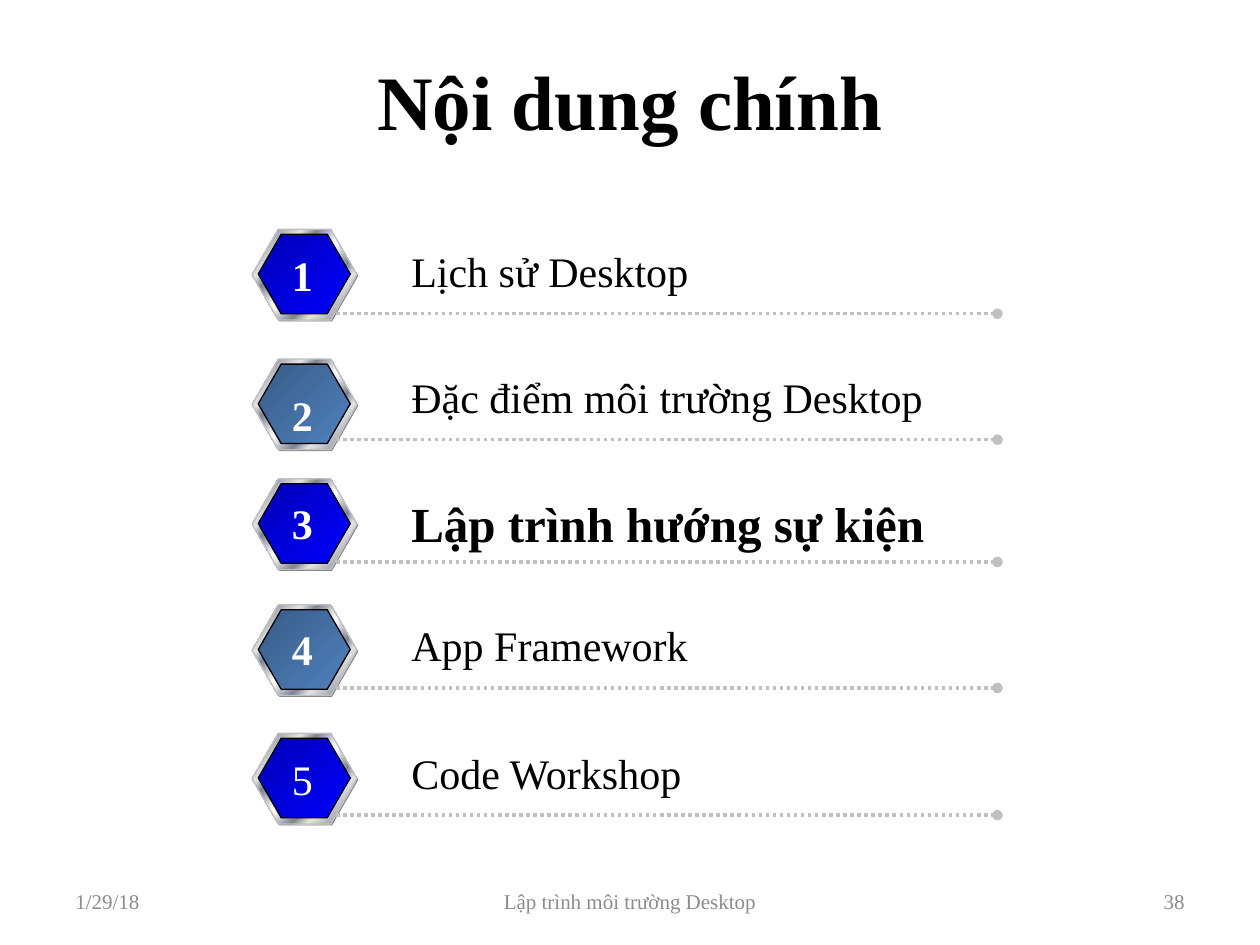
"""Builds the course outline slide with five numbered hexagon rows."""
import pptx
import pptx.util
import pptx.oxml
import pptx.oxml.ns
import pptx.dml.color
import pptx.enum.dml
import pptx.enum.shapes
import pptx.enum.text

RGB = pptx.dml.color.RGBColor.from_string
ALIGN = pptx.enum.text.PP_ALIGN
ANCHOR = pptx.enum.text.MSO_ANCHOR
SHAPE = pptx.enum.shapes.MSO_SHAPE
qn = pptx.oxml.ns.qn
NS = pptx.oxml.ns.nsdecls("a")

THEME = {
    "font": "Times New Roman",
    "ink": "000000", "white": "FFFFFF", "muted": "8C8C8C",
    "rule": "C0C0C0", "shade": "808080",
    "title": 44, "strong": 28, "text": 24, "footer": 12,
    "blue": [(0, "0000B6"), (100, "0000FF")],
    "steel": [(0, "395C87"), (100, "4F81BD")],
    "metal": [(0, "E6E6E6"), (7, "7D8496"), (26, "E6E6E6"), (34, "7D8496"),
              (46, "E6E6E6"), (50, "FFFFFF"), (54, "E6E6E6"), (66, "7D8496"),
              (74, "E6E6E6"), (93, "7D8496"), (100, "E6E6E6")],
}

prs = pptx.Presentation()
prs.slide_width = pptx.util.Inches(10)
prs.slide_height = pptx.util.Inches(7.5)
UNIT = prs.slide_width / 120
s = prs.slides.add_slide(prs.slide_layouts[5])


def write(sp, box, text, size, color="ink", bold=False, align=ALIGN.LEFT,
          anchor=ANCHOR.TOP, wrap=True):
    for name, value in zip(("left", "top", "width", "height"), box):
        setattr(sp, name, round(value * UNIT))
    tf = sp.text_frame
    for name, value in {"word_wrap": wrap, "vertical_anchor": anchor}.items():
        setattr(tf, name, value)
    p = tf.paragraphs[0]
    p.alignment = align
    r = p.add_run()
    r.text = text
    style = {"name": THEME["font"], "size": pptx.util.Pt(THEME[size]), "bold": bold}
    for name, value in style.items():
        setattr(r.font, name, value)
    r.font.color.rgb = RGB(THEME[color])


def hexagon(shapes, box, fill, line=None):
    sp = shapes.add_shape(SHAPE.HEXAGON, *(round(v * UNIT) for v in box))
    sp.shadow.inherit = False
    sp.adjustments[0], sp.adjustments[1] = 0.289, 1.155
    if line:
        sp.line.color.rgb = RGB(THEME[line])
        sp.line.width = pptx.util.Pt(0.75)
    else:
        sp.line.fill.background()
    if isinstance(THEME[fill], str):
        sp.fill.solid()
        sp.fill.fore_color.rgb = RGB(THEME[fill])
        return
    sp.fill.gradient()
    sp.fill.gradient_angle = 315
    stops = sp._element.spPr.find(".//" + qn("a:gsLst"))
    for stop in list(stops):
        stops.remove(stop)
    for pos, color in THEME[fill]:
        stops.append(pptx.oxml.parse_xml(
            f'<a:gs {NS} pos="{pos * 1000}"><a:srgbClr val="{color}"/></a:gs>'))


write(s.shapes.title, (6, 2, 108, 15), "Nội dung chính", "title", bold=True,
      align=ALIGN.CENTER, anchor=ANCHOR.MIDDLE)

footers = [(6, 28, "1/29/18", ALIGN.LEFT),
           (41, 38, "Lập trình môi trường Desktop", ALIGN.CENTER),
           (86, 28, "38", ALIGN.RIGHT)]
for left, width, text, align in footers:
    write(s.shapes.add_textbox(0, 0, 0, 0), (left, 83.4, width, 4.8), text, "footer",
          "muted", align=align, anchor=ANCHOR.MIDDLE)

rows = [("Lịch sử Desktop", 21.84, 29.88, 23.16),
        ("Đặc điểm môi trường Desktop", 34.2, 41.88, 36.48),
        ("Lập trình hướng sự kiện", 45.6, 53.52, 46.8),
        ("App Framework", 57.6, 65.52, 58.8),
        ("Code Workshop", 69.84, 77.64, 71.16)]
for number, (label, top, rule, digit) in enumerate(rows, 1):
    group = s.shapes.add_group_shape().shapes
    hexagon(group, (24.12, top + 0.12, 10, 8.64), "shade")
    hexagon(group, (24, top, 10, 8.64), "metal", "rule")
    hexagon(group, (24.6, top + 0.48, 8.76, 7.56), "blue" if number % 2 else "steel", "ink")

    line = s.shapes.add_connector(
        pptx.enum.shapes.MSO_CONNECTOR.STRAIGHT,
        *(round(v * UNIT) for v in (32, rule, 95, rule)))
    line.line.color.rgb = RGB(THEME["rule"])
    line.line.width = pptx.util.Pt(2)
    line.line.dash_style = pptx.enum.dml.MSO_LINE.ROUND_DOT
    line.line._get_or_add_ln().append(pptx.oxml.parse_xml(f'<a:tailEnd {NS} type="oval"/>'))
    line._element.spPr.append(pptx.oxml.parse_xml(f"<a:effectLst {NS}/>"))

    strong = number == 3
    write(s.shapes.add_textbox(0, 0, 0, 0), (38, rule - 7.08, 54, 6), label,
          "strong" if strong else "text", bold=strong, wrap=False)
    write(s.shapes.add_textbox(0, 0, 0, 0), (26.6, digit, 4.4, 6), str(number), "text",
          "white", bold=number < len(rows), align=ALIGN.CENTER, wrap=False)

prs.save("out.pptx")
